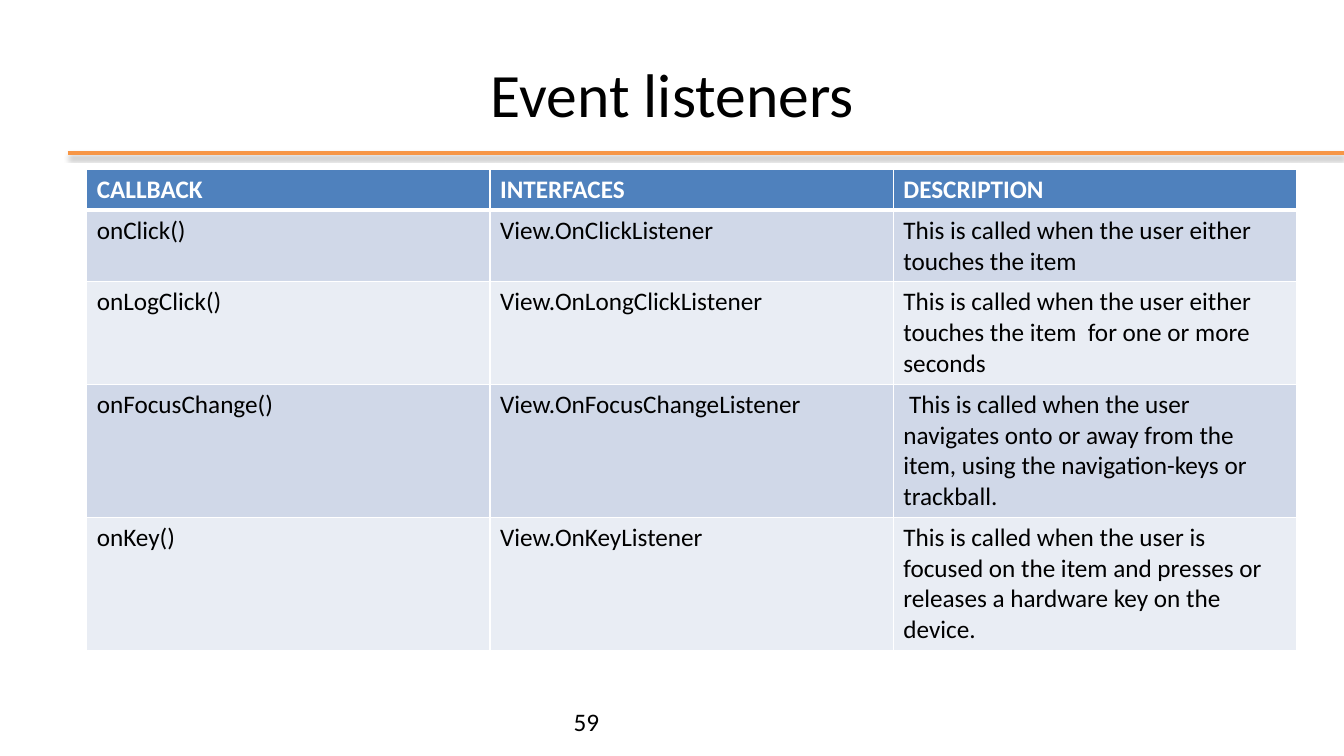
from pptx import Presentation
from pptx.dml.color import RGBColor as RGB
from pptx.enum.shapes import MSO_CONNECTOR as Conn
from pptx.enum.text import MSO_ANCHOR as Anchor, PP_ALIGN as Align
from pptx.oxml import parse_xml
from pptx.oxml.ns import nsdecls
from pptx.util import Inches, Pt

TITLE = "Event listeners"
PAGE = "59"
ROWS = [
    ("CALLBACK", "INTERFACES", "DESCRIPTION"),
    ("onClick()", "View.OnClickListener",
     "This is called when the user either touches the item"),
    ("onLogClick()", "View.OnLongClickListener",
     "This is called when the user either touches the item  for one or more seconds"),
    ("onFocusChange()", "View.OnFocusChangeListener",
     " This is called when the user navigates onto or away from the item, "
     "using the navigation-keys or trackball."),
    ("onKey()", "View.OnKeyListener",
     "This is called when the user is focused on the item and presses or "
     "releases a hardware key on the device."),
]
COLORS = {"text": "000000", "white": "FFFFFF", "rule": "F79646",
          "head": "4F81BD", "odd": "D0D8E8", "even": "E9EDF4"}
FONT = "Calibri"
HEAD_H, ROW_H, COL_W = 0.34, 0.66, 4


def color(name):
    return RGB.from_string(COLORS[name])


def style(frame, size, name="text", bold=False):
    for par in frame.paragraphs:
        for run in par.runs:
            font = run.font
            font.name, font.size, font.bold = FONT, Pt(size), bold
            font.color.rgb = color(name)


def border(cell, bottom):
    """Draw white cell edges, with the bottom one as wide as given."""
    props = cell._tc.get_or_add_tcPr()
    for side, width in (("L", 1), ("R", 1), ("T", 1), ("B", bottom)):
        props.append(parse_xml(
            f'<a:ln{side} {nsdecls("a")} w="{Pt(width)}"><a:solidFill>'
            f'<a:srgbClr val="{COLORS["white"]}"/></a:solidFill></a:ln{side}>'))


def add_rule(slide):
    y = Inches(1.52)
    rule = slide.shapes.add_connector(Conn.STRAIGHT, Inches(0.67), y, Inches(13.33), y)
    rule.line.color.rgb = color("rule")
    rule.line.width = Pt(3)
    rule._element.spPr.append(parse_xml(
        f'<a:effectLst {nsdecls("a")}><a:outerShdw blurRad="{Pt(3.1)}" '
        f'dist="{Pt(1.8)}" dir="5400000" rotWithShape="0">'
        f'<a:srgbClr val="{COLORS["text"]}"><a:alpha val="35000"/></a:srgbClr>'
        '</a:outerShdw></a:effectLst>'))


def add_title(slide):
    title = slide.shapes.title
    title.left, title.top = Inches(0.67), Inches(0.3)
    title.width, title.height = Inches(12), Inches(1.25)
    frame = title.text_frame
    frame.text = TITLE
    frame.vertical_anchor = Anchor.MIDDLE
    frame.paragraphs[0].alignment = Align.CENTER
    style(frame, 44)


def add_grid(slide):
    cols = len(ROWS[0])
    holder = slide.shapes.add_table(len(ROWS), cols, Inches(0.86), Inches(1.68),
                                    Inches(COL_W * cols), Inches(4.7))
    table = holder.table
    for col in table.columns:
        col.width = Inches(COL_W)
    for r, row in enumerate(ROWS):
        head = r == 0
        table.rows[r].height = Inches(HEAD_H if head else ROW_H)
        fill = "head" if head else "odd" if r % 2 else "even"
        for c, text in enumerate(row):
            cell = table.cell(r, c)
            cell.text_frame.text = text
            style(cell.text_frame, 18, "white" if head else "text", head)
            border(cell, 3 if head else 1)
            cell.fill.solid()
            cell.fill.fore_color.rgb = color(fill)
    holder.height = Inches(4.7)


def add_page(slide):
    box = slide.shapes.add_textbox(Inches(5.59), Inches(6.96), Inches(7.07), Inches(0.4))
    box.text_frame.word_wrap = True
    box.text_frame.text = PAGE
    style(box.text_frame, 18)


def main():
    deck = Presentation()
    deck.slide_width, deck.slide_height = Inches(13.33), Inches(7.5)
    slide = deck.slides.add_slide(deck.slide_layouts[5])
    add_rule(slide)
    add_title(slide)
    add_grid(slide)
    add_page(slide)
    deck.save("out.pptx")


if __name__ == "__main__":
    main()
